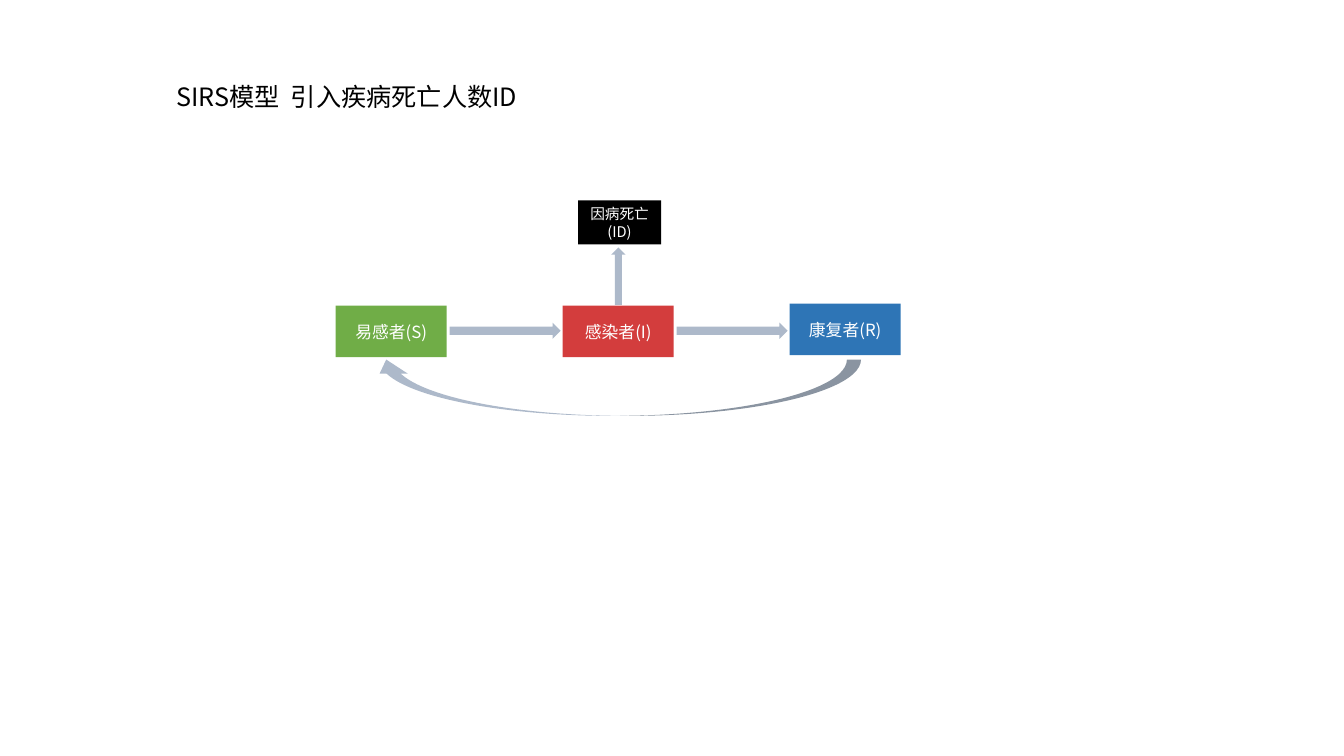
from lxml import etree
from pptx import Presentation
from pptx.dml.color import RGBColor
from pptx.enum.shapes import MSO_SHAPE
from pptx.enum.text import MSO_ANCHOR, MSO_AUTO_SIZE, PP_ALIGN
from pptx.oxml.ns import qn
from pptx.util import Cm, Pt

RECT = MSO_SHAPE.RECTANGLE
RIGHT_ARROW = MSO_SHAPE.RIGHT_ARROW
CURVED_ARROW = MSO_SHAPE.CURVED_RIGHT_ARROW
MIDDLE = MSO_ANCHOR.MIDDLE
FIT_SHAPE = MSO_AUTO_SIZE.SHAPE_TO_FIT_TEXT
CENTER = PP_ALIGN.CENTER

BLACK = RGBColor(0x00, 0x00, 0x00)
WHITE = RGBColor(0xFF, 0xFF, 0xFF)
GREEN = RGBColor(0x70, 0xAD, 0x47)
RED = RGBColor(0xD3, 0x3D, 0x3D)
BLUE = RGBColor(0x2E, 0x75, 0xB6)
GREY = RGBColor(0xAD, 0xB9, 0xCA)
FONT = "Noto Sans CJK SC"

STATE_LEFT, STATE_STEP = 8.46, 5.72
STATES = [("易感者(S)", GREEN, 7.7), ("感染者(I)", RED, 7.7), ("康复者(R)", BLUE, 7.65)]


def add_run(p, text, size, color):
    """Add a run with Latin and East Asian fonts set."""
    r = p.add_run()
    r.text = text
    r.font.size = Pt(size)
    r.font.color.rgb = color
    r.font.name = FONT
    etree.SubElement(r.font._element, qn("a:ea"), typeface=FONT)


def add_title(slide, text):
    """Add the slide heading."""
    tf = slide.shapes.add_textbox(Cm(4.19), Cm(1.93), Cm(24.26), Cm(1.03)).text_frame
    tf.word_wrap = True
    tf.auto_size = FIT_SHAPE
    add_run(tf.paragraphs[0], text, 18, BLACK)


def add_block(group, kind, box, fill):
    """Add a flat filled shape without outline; box is in centimetres."""
    sp = group.shapes.add_shape(kind, *map(Cm, box))
    sp.shadow.inherit = False
    sp.fill.solid()
    sp.fill.fore_color.rgb = fill
    sp.line.fill.background()
    return sp


def add_state(group, lines, box, fill, size):
    """Add a compartment box with centred white text."""
    tf = add_block(group, RECT, box, fill).text_frame
    tf.word_wrap = True
    tf.vertical_anchor = MIDDLE
    for i, line in enumerate(lines):
        p = tf.add_paragraph() if i else tf.paragraphs[0]
        p.alignment = CENTER
        add_run(p, line, size, WHITE)


def add_arrow(group, kind, box, rotation=0, mirrored=False):
    """Add a grey block arrow, optionally rotated and mirrored."""
    sp = add_block(group, kind, box, GREY)
    sp.rotation = rotation
    if mirrored:
        sp.element.spPr.xfrm.set("flipH", "1")


def main():
    """Build the SIRS model slide."""
    prs = Presentation()
    prs.slide_width, prs.slide_height = Cm(33.87), Cm(19.05)
    s = prs.slides.add_slide(prs.slide_layouts[6])
    add_title(s, "SIRS模型  引入疾病死亡人数ID")

    diagram = s.shapes.add_group_shape()
    for i, (name, fill, top) in enumerate(STATES):
        left = STATE_LEFT + i * STATE_STEP
        add_state(diagram, [name], (left, top, 2.8, 1.3), fill, 12)
        if i < len(STATES) - 1:
            add_arrow(diagram, RIGHT_ARROW, (left + 2.87, 8.13, 2.8, 0.41))
    add_arrow(diagram, CURVED_ARROW, (14.83, 3.61, 1.42, 12.32), 90, True)
    add_state(diagram, ["因病死亡", "(ID)"], (14.57, 5.05, 2.09, 1.11), BLACK, 10.5)
    add_arrow(diagram, RIGHT_ARROW, (14.86, 6.78, 1.45, 0.36), 270)
    prs.save("out.pptx")


if __name__ == "__main__":
    main()
